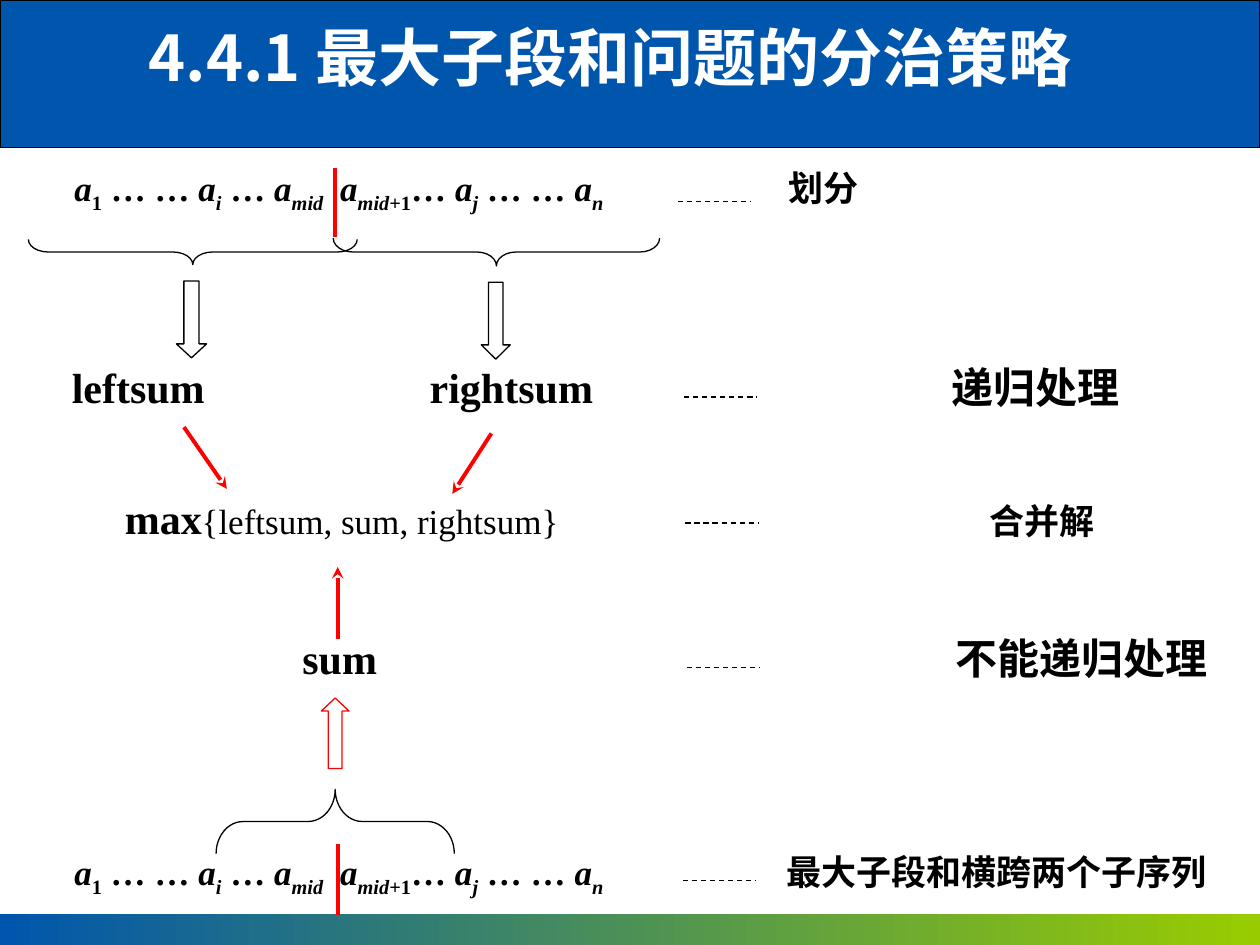
"""Build the slide on divide and conquer for the maximum subsegment sum."""
from typing import NamedTuple

from lxml import etree
from pptx import Presentation
from pptx import util as u
from pptx.dml.color import RGBColor
from pptx.enum import dml, shapes, text
from pptx.oxml.ns import qn

COLORS = {"band": "0056AC", "lime": "99CC00", "ink": "000000",
          "accent": "FF0000", "title": "FFFFFF"}
LATIN, HAN = "Times New Roman", "Noto Sans CJK SC"
SHAPE = shapes.MSO_SHAPE


class Piece(NamedTuple):
    text: str
    size: int = 20
    bold: bool = True
    italic: bool = False
    sub: bool = False


class Row(NamedTuple):
    left: float
    top: float
    width: float
    tabs: tuple[float, ...]
    pieces: list[Piece]


class Brace(NamedTuple):
    center_x: float
    center_y: float
    thickness: float
    length: float
    turn: int
    curl: float


class BlockArrow(NamedTuple):
    kind: int
    left: float
    top: float
    width: float
    height: float
    head: float
    color: str


class Line(NamedTuple):
    start: tuple[float, float]
    end: tuple[float, float]
    arrow: bool = False
    dashed: bool = False


def var(name: str) -> Piece:
    return Piece(name, italic=True)


def index(name: str, italic: bool = True) -> Piece:
    return Piece(name, italic=italic, sub=True)


def sequence(label: str) -> list[Piece]:
    return [var("a"), index("1", False), Piece(" … … "), var("a"), index("i"),
            Piece(" … "), var("a"), index("mid"), var("\ta"), index("mid"),
            index("+1", False), Piece("… "), var("a"), index("j"),
            Piece(" … … "), var("a"), index("n"), Piece("\t" + label)]


ROWS = [
    Row(0.59, 1.32, 6.79, (2.11, 5.67), sequence("划分")),
    Row(0.57, 2.87, 9.25, (2.84, 6.98), [Piece("leftsum\trightsum\t递归处理", 24)]),
    Row(0.99, 3.91, 7.82, (6.86,), [Piece("max", 24),
                                    Piece("{leftsum, sum, rightsum}", bold=False),
                                    Piece("\t合并解")]),
    Row(2.4, 5.02, 7.49, (5.18,), [Piece("sum\t不能递归处理", 24)]),
    Row(0.59, 6.75, 9.24, (2.11, 5.65), sequence("最大子段和横跨两个子序列")),
]
BRACES = [
    Brace(1.53, 2, 0.2, 2.61, 270, 0.79),
    Brace(3.94, 2, 0.22, 2.59, 270, 0.71),
    Brace(2.66, 6.52, 0.51, 1.89, 90, 0.42),
]
BLOCK_ARROWS = [
    BlockArrow(SHAPE.DOWN_ARROW, 1.4, 2.23, 0.24, 0.61, 0.46, "ink"),
    BlockArrow(SHAPE.DOWN_ARROW, 3.82, 2.24, 0.23, 0.61, 0.49, "ink"),
    BlockArrow(SHAPE.UP_ARROW, 2.55, 5.54, 0.22, 0.56, 0.47, "accent"),
]
SPLITS_AND_FLOWS = [
    Line((2.66, 1.33), (2.66, 1.88)),
    Line((2.68, 6.7), (2.68, 7.26)),
    Line((1.46, 3.39), (1.8, 3.88), arrow=True),
    Line((3.9, 3.44), (3.59, 3.92), arrow=True),
    Line((2.68, 5.07), (2.68, 4.5), arrow=True),
]
LEADERS = [Line((x, y), (x + 0.58, y), dashed=True) for x, y in
           [(5.38, 1.6), (5.43, 3.15), (5.44, 4.15), (5.45, 5.3), (5.42, 6.99)]]


def rgb(name: str) -> RGBColor:
    return RGBColor.from_string(COLORS[name])


def add_outlined(slide, kind: int, box: tuple[float, ...], color: str = "ink"):
    shape = slide.shapes.add_shape(kind, *map(u.Inches, box))
    shape.shadow.inherit = False
    shape.fill.background()
    shape.line.color.rgb = rgb(color)
    shape.line.width = u.Pt(0.75)
    return shape


def add_bands(slide) -> None:
    header = add_outlined(slide, SHAPE.RECTANGLE, (0, 0, 10, 1.17))
    header.fill.solid()
    header.fill.fore_color.rgb = rgb("band")
    footer = add_outlined(slide, SHAPE.RECTANGLE, (0, 7.25, 10, 0.25))
    footer.line.fill.background()
    footer.fill.gradient()
    footer.fill.gradient_angle = 0
    for stop, name in zip(footer.fill.gradient_stops, ("band", "lime")):
        stop.color.rgb = rgb(name)


def style_run(run, latin: str, color: str, formats: dict) -> None:
    for key, value in {"name": latin, **formats}.items():
        setattr(run.font, key, value)
    run.font.color.rgb = rgb(color)
    latin_font = run.font._element.find(qn("a:latin"))
    east_asian = etree.Element(qn("a:ea"), typeface=HAN)
    latin_font.addnext(east_asian)


def fill_title(slide, wording: str) -> None:
    title = slide.shapes.title
    place = {"left": 1.08, "top": 0.09, "width": 8.92, "height": 0.71}
    for key, value in place.items():
        setattr(title, key, u.Inches(value))
    frame = title.text_frame
    frame.auto_size = text.MSO_AUTO_SIZE.NONE
    frame.vertical_anchor = text.MSO_ANCHOR.MIDDLE
    paragraph = frame.paragraphs[0]
    paragraph.alignment = text.PP_ALIGN.LEFT
    run = paragraph.add_run()
    run.text = wording
    style_run(run, HAN, "title", {"size": u.Pt(36), "bold": True})
    slide.shapes._spTree.append(title._element)


def add_row(slide, row: Row) -> None:
    box = slide.shapes.add_textbox(*map(u.Inches, (row.left, row.top, row.width, 0.55)))
    frame = box.text_frame
    formats = {"word_wrap": True, "margin_left": 0, "margin_right": 0,
               "margin_top": 0, "margin_bottom": 0}
    for key, value in formats.items():
        setattr(frame, key, value)
    paragraph = frame.paragraphs[0]
    tabs = etree.SubElement(paragraph._p.get_or_add_pPr(), qn("a:tabLst"))
    for position in row.tabs:
        etree.SubElement(tabs, qn("a:tab"), pos=str(u.Inches(position)), algn="l")
    for piece in row.pieces:
        run = paragraph.add_run()
        run.text = piece.text
        style_run(run, LATIN, "ink", {"size": u.Pt(piece.size), "bold": piece.bold,
                                      "italic": piece.italic})
        if piece.sub:
            run.font._element.set("baseline", "-25000")


def add_brace(slide, brace: Brace) -> None:
    box = (brace.center_x - brace.thickness / 2, brace.center_y - brace.length / 2,
           brace.thickness, brace.length)
    shape = add_outlined(slide, SHAPE.LEFT_BRACE, box)
    shape.rotation = brace.turn
    shape.adjustments[0] = brace.curl


def add_block_arrow(slide, arrow: BlockArrow) -> None:
    shape = add_outlined(slide, arrow.kind, arrow[1:5], arrow.color)
    shape.adjustments[1] = arrow.head


def add_line(slide, line: Line) -> None:
    connector = slide.shapes.add_connector(
        shapes.MSO_CONNECTOR.STRAIGHT, *map(u.Inches, line.start + line.end))
    connector.line.color.rgb = rgb("ink" if line.dashed else "accent")
    connector.line.width = u.Pt(0.75 if line.dashed else 2.25)
    if line.dashed:
        connector.line.dash_style = dml.MSO_LINE.DASH
    if line.arrow:
        etree.SubElement(connector.line._get_or_add_ln(), qn("a:tailEnd"), type="stealth")
    etree.SubElement(connector._element.spPr, qn("a:effectLst"))


def main() -> None:
    deck = Presentation()
    deck.slide_width, deck.slide_height = u.Inches(10), u.Inches(7.5)
    slide = deck.slides.add_slide(deck.slide_layouts[5])
    add_bands(slide)
    for draw, items in ((add_row, ROWS), (add_brace, BRACES),
                        (add_block_arrow, BLOCK_ARROWS),
                        (add_line, SPLITS_AND_FLOWS + LEADERS)):
        for item in items:
            draw(slide, item)
    fill_title(slide, "4.4.1 最大子段和问题的分治策略")
    deck.save("out.pptx")


if __name__ == "__main__":
    main()
